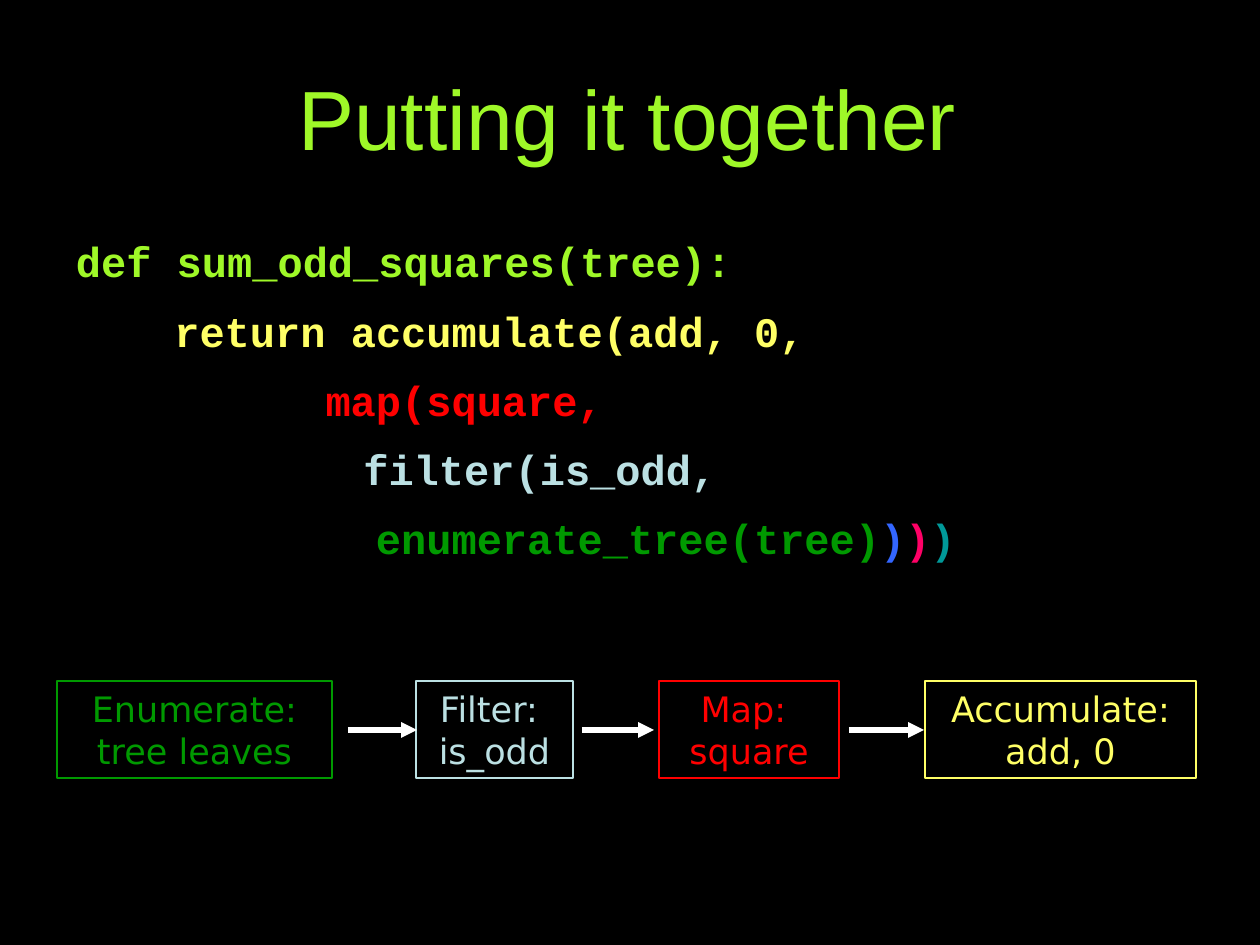
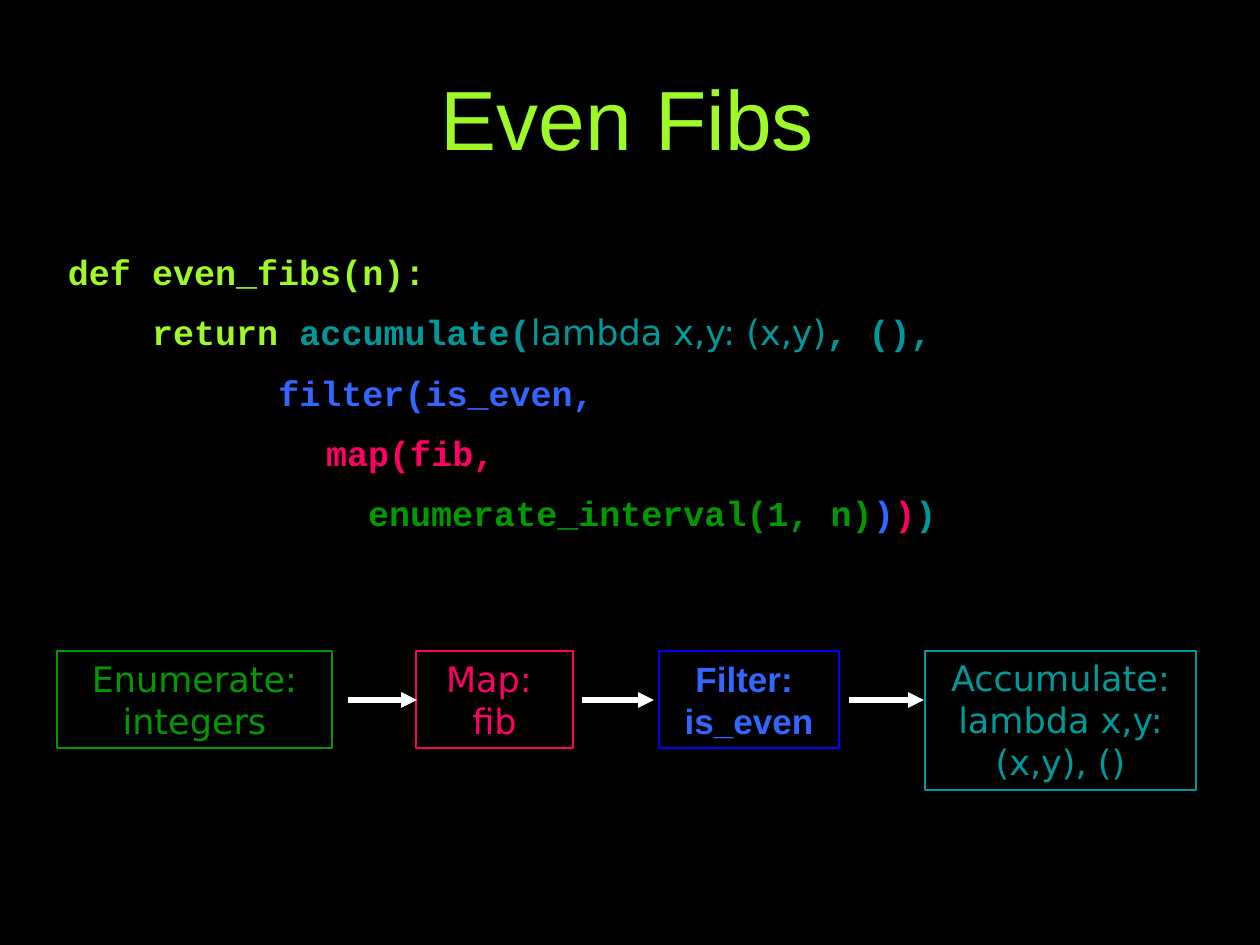
from lxml.etree import SubElement
from pptx import Presentation
from pptx.dml.color import RGBColor
from pptx.enum.shapes import MSO_CONNECTOR, MSO_SHAPE
from pptx.enum.text import MSO_ANCHOR, MSO_AUTO_SIZE, PP_ALIGN
from pptx.oxml.ns import qn
from pptx.util import Emu, Pt

PX_PER_INCH = 126
EMU_PER_PX = 914400 / PX_PER_INCH

BLACK = RGBColor(0x00, 0x00, 0x00)
WHITE = RGBColor(0xFF, 0xFF, 0xFF)
LIME = RGBColor(0x9F, 0xF8, 0x28)
YELLOW = RGBColor(0xFF, 0xFF, 0x66)
RED = RGBColor(0xFF, 0x00, 0x00)
PALE_BLUE = RGBColor(0xBB, 0xE0, 0xE3)
GREEN = RGBColor(0x00, 0x99, 0x00)
BLUE = RGBColor(0x33, 0x66, 0xFF)
PURE_BLUE = RGBColor(0x00, 0x00, 0xFF)
PINK = RGBColor(0xFF, 0x00, 0x66)
TEAL = RGBColor(0x00, 0x99, 0x99)

SANS = "Arial"
MONO = "Courier New"
LABEL = "DejaVu Sans"

STAGE_SPANS = [(57, 275), (416, 157), (659, 180), (925, 271)]
ARROW_SPANS = [(348, 417), (582, 654), (849, 924)]
STAGE_HEIGHT = 97
CLOSING = [(")", BLUE), (")", PINK), (")", TEAL)]


def px(length):
    return Emu(round(length * EMU_PER_PX))


def add_span(para, text, size, font, color, bold=False):
    span = para.add_run()
    span.text = text
    span.font.size = Pt(size)
    span.font.name = font
    span.font.bold = bold
    span.font.color.rgb = color


def set_insets(frame, left, top, right, bottom):
    frame.margin_left, frame.margin_top = px(left), px(top)
    frame.margin_right, frame.margin_bottom = px(right), px(bottom)


def next_para(frame, index):
    return frame.add_paragraph() if index else frame.paragraphs[0]


def add_page(deck, heading):
    page = deck.slides.add_slide(deck.slide_layouts[5])
    title = page.shapes.title
    title.left, title.top, title.width, title.height = px(63), px(9), px(1134), px(215)
    frame = title.text_frame
    frame.vertical_anchor = MSO_ANCHOR.MIDDLE
    set_insets(frame, 8, 8, 13, 8)
    para = frame.paragraphs[0]
    para.alignment = PP_ALIGN.CENTER
    add_span(para, heading, 48, SANS, LIME)
    return page


def set_code_tabs(para):
    properties = para._p.get_or_add_pPr()
    properties.set("marL", str(px(53)))
    properties.set("indent", str(px(-48)))
    tab_list = SubElement(properties, qn("a:tabLst"))
    for stop in range(8):
        SubElement(tab_list, qn("a:tab"), pos=str(px(stop * PX_PER_INCH)), algn="l")


def add_code(page, left, top, width, height, size, lines):
    box = page.shapes.add_textbox(px(left), px(top), px(width), px(height))
    frame = box.text_frame
    frame.word_wrap = True
    set_insets(frame, 8, 12, 13, 8)
    for index, line in enumerate(lines):
        para = next_para(frame, index)
        para.line_spacing = 1.06
        para.space_before = Pt(9 if index else 0)
        set_code_tabs(para)
        for text, color, *font in line:
            add_span(para, text, size, font[0] if font else MONO, color, bold=not font)


def add_stage(page, left, top, width, height, lines, color,
              line_color=None, line_width=0.75, font=LABEL, bold=False):
    box = page.shapes.add_shape(MSO_SHAPE.RECTANGLE, px(left), px(top), px(width), px(height))
    box.shadow.inherit = False
    box.fill.background()
    box.line.color.rgb = line_color or color
    box.line.width = Pt(line_width)
    frame = box.text_frame
    frame.word_wrap = True
    frame.auto_size = MSO_AUTO_SIZE.SHAPE_TO_FIT_TEXT
    frame.vertical_anchor = MSO_ANCHOR.TOP
    set_insets(frame, 13, 6, 13, 6)
    for index, text in enumerate(lines):
        para = next_para(frame, index)
        para.alignment = PP_ALIGN.CENTER
        add_span(para, text, 20, font, color, bold)


def add_arrow(page, start, end, y):
    arrow = page.shapes.add_connector(MSO_CONNECTOR.STRAIGHT, px(start), px(y), px(end), px(y))
    arrow.line.color.rgb = WHITE
    arrow.line.width = Pt(3)
    SubElement(arrow.line._get_or_add_ln(), qn("a:tailEnd"), type="triangle")
    SubElement(arrow._element.spPr, qn("a:effectLst"))


def add_pipeline(page, top, stages):
    for (left, width), stage in zip(STAGE_SPANS, stages):
        add_stage(page, left, top, width, **{"height": STAGE_HEIGHT, **stage})
    for start, end in ARROW_SPANS:
        add_arrow(page, start, end, top + 49)


def add_odd_squares(deck):
    page = add_page(deck, "Putting it together")
    add_code(page, 63, 221, 1197, 643, 24, [
        [("def sum_odd_squares(tree):", LIME)],
        [("\t ", LIME), (" return accumulate(add, 0,", YELLOW)],
        [("\t\t\t   ", LIME), ("map(square,", RED)],
        [("\t\t\t\t ", LIME), (" filter(is_odd,", PALE_BLUE)],
        [("\t\t\t\t\t", LIME), ("enumerate_tree(tree)", GREEN), *CLOSING],
    ])
    add_pipeline(page, 681, [
        dict(lines=["Enumerate: tree leaves"], color=GREEN),
        dict(lines=["Filter: ", "is_odd"], color=PALE_BLUE),
        dict(lines=["Map: ", "square"], color=RED),
        dict(lines=["Accumulate: add, 0"], color=YELLOW),
    ])


def add_even_fibs(deck):
    page = add_page(deck, "Even Fibs")
    add_code(page, 55, 236, 1179, 673, 20, [
        [("def even_fibs(n):", LIME)],
        [("    return ", LIME), ("accumulate(", TEAL),
         ("lambda x,y: (x,y)", TEAL, LABEL), (", (),", TEAL)],
        [("          ", LIME), ("filter(is_even,", BLUE)],
        [("\t\t\t    ", LIME), ("map(fib,", PINK)],
        [("\t\t\t\t   ", LIME), ("enumerate_interval(1, n)", GREEN), *CLOSING],
    ])
    add_pipeline(page, 651, [
        dict(lines=["Enumerate: integers"], color=GREEN),
        dict(lines=["Map: ", "fib"], color=PINK),
        dict(lines=["Filter: ", "is_even"], color=BLUE, line_color=PURE_BLUE,
             line_width=1.5, font=SANS, bold=True),
        dict(lines=["Accumulate: lambda x,y: (x,y), ()"], color=TEAL, height=139),
    ])


def main():
    deck = Presentation()
    deck.slide_width, deck.slide_height = px(1260), px(945)
    background = deck.slide_master.background.fill
    background.solid()
    background.fore_color.rgb = BLACK
    add_odd_squares(deck)
    add_even_fibs(deck)
    deck.save("out.pptx")


if __name__ == "__main__":
    main()
